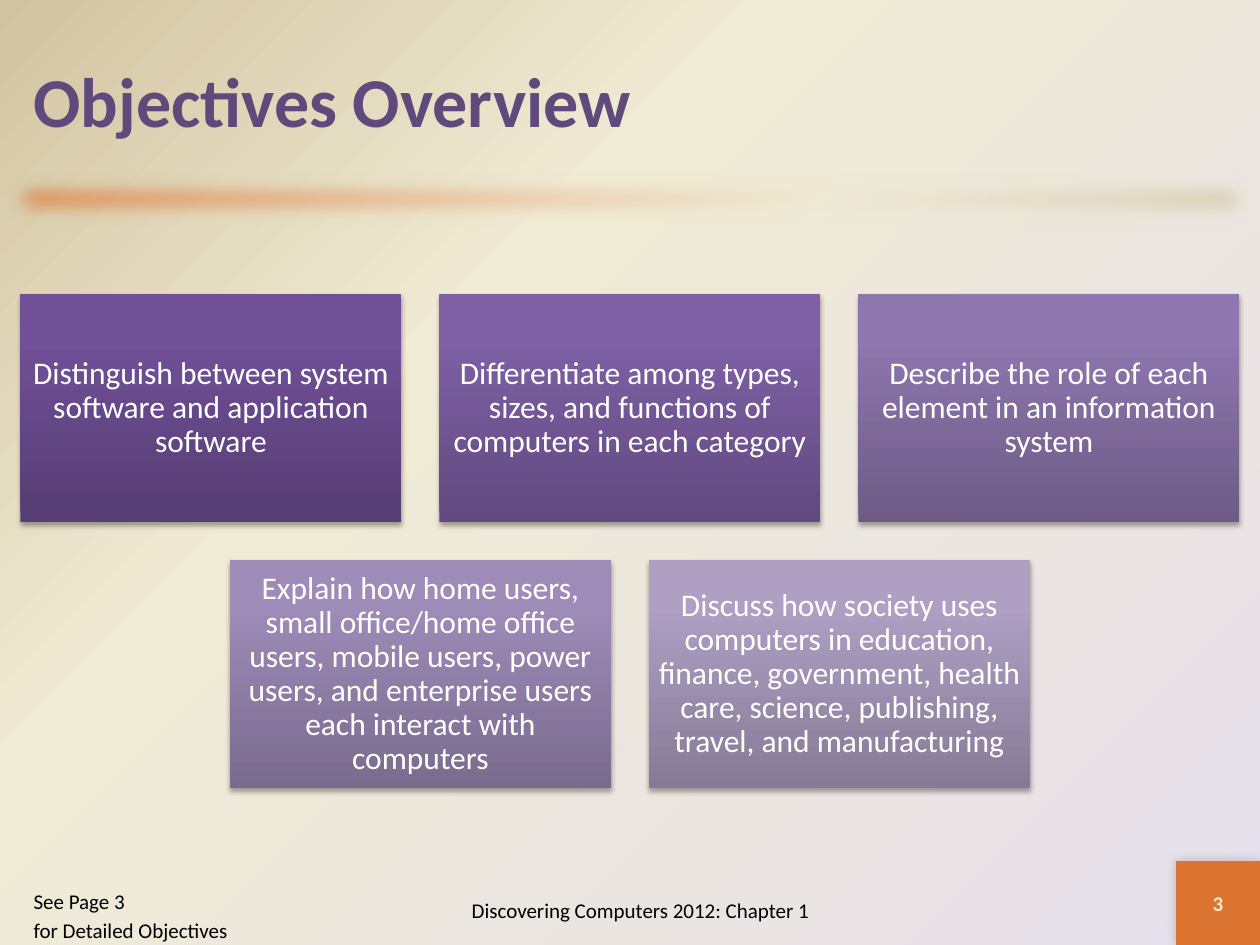
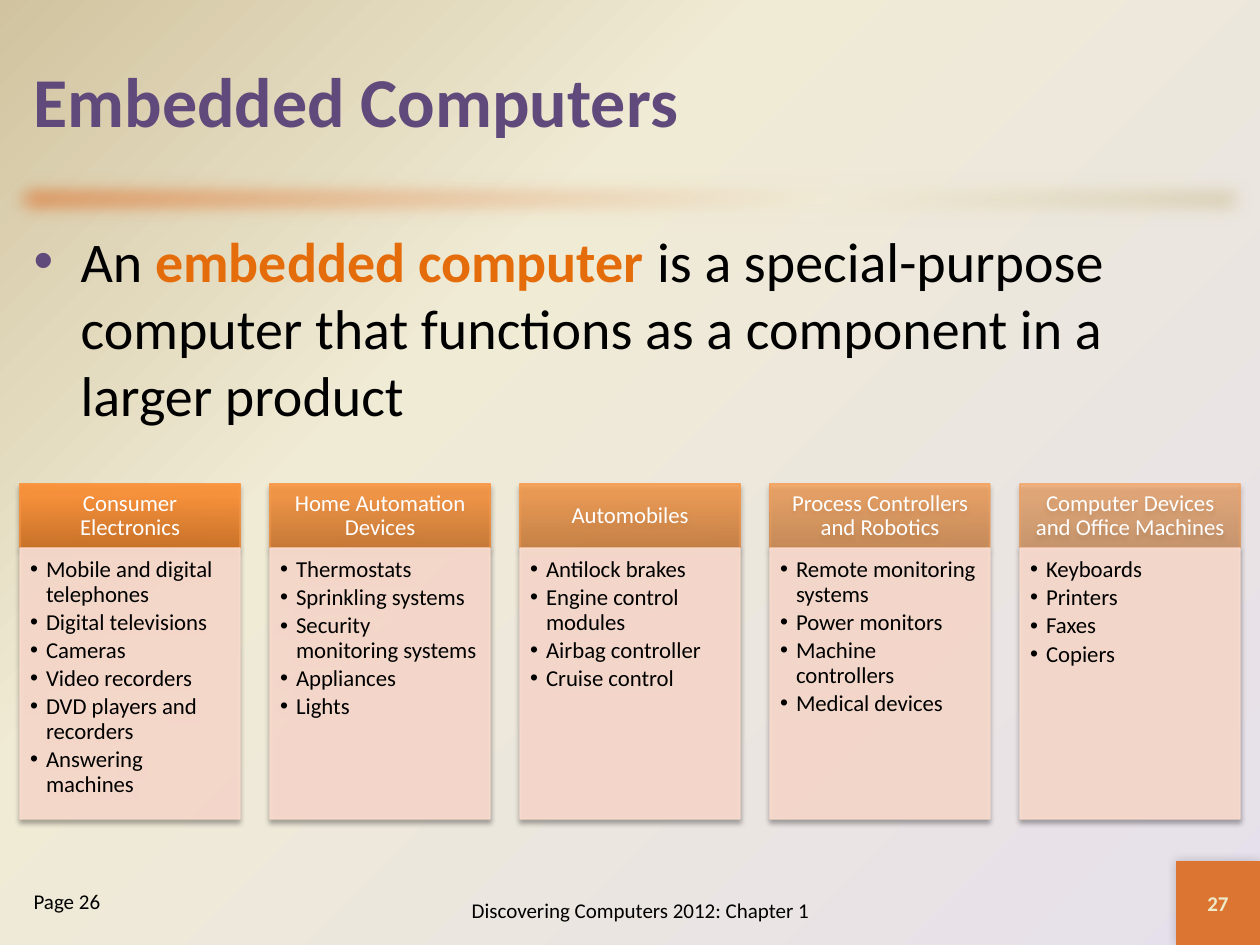
from dataclasses import dataclass

from lxml import etree
from pptx import Presentation
from pptx.dml.color import RGBColor
from pptx.enum.shapes import MSO_SHAPE
from pptx.enum.text import MSO_ANCHOR, MSO_AUTO_SIZE, PP_ALIGN
from pptx.oxml.ns import qn
from pptx.util import Pt

RECTANGLE = MSO_SHAPE.RECTANGLE
LEFT, CENTER = PP_ALIGN.LEFT, PP_ALIGN.CENTER
TOP, MIDDLE = MSO_ANCHOR.TOP, MSO_ANCHOR.MIDDLE
NO_AUTOFIT = MSO_AUTO_SIZE.NONE

FOOTER = "Discovering Computers 2012: Chapter 1"

OBJECTIVES = {
    "title": "Objectives Overview",
    "number": "3",
    "note": ["See Page 3", "for Detailed Objectives"],
    "rows": [
        [
            ("Distinguish between system software and application software",
             "563D74", "705097"),
            ("Differentiate among types, sizes, and functions of computers in each category",
             "614A7F", "7E60A5"),
            ("Describe the role of each element in an information system",
             "6D5B86", "8E76AE"),
        ],
        [
            ("Explain how home users, small office/home office users, mobile users, "
             "power users, and enterprise users each interact with computers",
             "796B8E", "9E8BB8"),
            ("Discuss how society uses computers in education, finance, government, "
             "health care, science, publishing, travel, and manufacturing",
             "867B96", "AE9FC3"),
        ],
    ],
}

EMBEDDED = {
    "title": "Embedded Computers",
    "number": "27",
    "note": ["Page 26"],
    "definition": ["An ", "embedded computer ",
                   "is a special-purpose computer that functions as a component "
                   "in a larger product"],
    "columns": [
        ("Consumer Electronics",
         ["Mobile and digital telephones", "Digital televisions", "Cameras",
          "Video recorders", "DVD players and recorders", "Answering machines"]),
        ("Home Automation Devices",
         ["Thermostats", "Sprinkling systems", "Security monitoring systems",
          "Appliances", "Lights"]),
        ("Automobiles",
         ["Antilock brakes", "Engine control modules", "Airbag controller",
          "Cruise control"]),
        ("Process Controllers and Robotics",
         ["Remote monitoring systems", "Power monitors", "Machine controllers",
          "Medical devices"]),
        ("Computer Devices and Office Machines",
         ["Keyboards", "Printers", "Faxes", "Copiers"]),
    ],
}


@dataclass(frozen=True)
class Theme:
    font: str = "Calibri"
    purple: str = "604A7B"
    orange: str = "DB7531"
    cream: str = "F0EBD5"
    sand: str = "D1C39F"
    lilac: str = "E6E0EC"
    accent: str = "E46C0A"
    number: str = "EEEBCA"
    black: str = "000000"
    white: str = "FFFFFF"
    head_dark: str = "CC6E20"
    head_light: str = "FF9034"
    head_line: str = "F79646"
    peach: str = "FCDDCF"
    title_size: int = 40
    definition_size: int = 32
    card_size: int = 18
    column_size: int = 13
    small_size: int = 12


THEME = Theme()
WIDTH, HEIGHT = 1260, 945
TITLE_BOX = (21, 21, 1218, 158)
DEFINITION_BOX = (21, 220, 1218, 640)
NOTE_BOX = (21, 882, 231, 63)
FOOTER_BOX = (378, 876, 525, 69)
NUMBER_BOX = (1176, 861, 84, 84)
BAND_BOX = (0, 168, 1260, 63)
CARD_WIDTH, CARD_HEIGHT, CARD_GAP, CARD_TOP = 381, 228, 38, 294
COLUMN_WIDTH, COLUMN_GAP = 220, 30
HEAD_TOP, HEAD_HEIGHT, LIST_HEIGHT = 484, 64, 271
HANGING, LIST_HANGING = 47, 16


def px(value):
    return round(value * 914400 / 126)


def place(shape, box):
    shape.left, shape.top, shape.width, shape.height = map(px, box)


def row_lefts(count, width, gap):
    """Left edges of a row of equal boxes centred on the slide."""
    start = (WIDTH - count * width - (count - 1) * gap) / 2
    return [start + index * (width + gap) for index in range(count)]


def add_node(parent, tag, **attributes):
    node = etree.SubElement(parent, qn(tag))
    for name, value in attributes.items():
        node.set(name, str(value))
    return node


def set_alpha(color_parent, percent):
    color = color_parent.find(".//" + qn("a:srgbClr"))
    add_node(color, "a:alpha", val=percent * 1000)


def set_gradient(owner, fill, stops, angle, alpha=100):
    fill.gradient()
    gradient = owner.find(".//" + qn("a:gradFill"))
    for child in list(gradient):
        gradient.remove(child)
    stop_list = add_node(gradient, "a:gsLst")
    for position, color in stops:
        stop = add_node(stop_list, "a:gs", pos=position * 1000)
        add_node(stop, "a:srgbClr", val=color)
        set_alpha(stop, alpha)
    add_node(gradient, "a:lin", ang=angle * 60000, scaled=0)


def set_shadow(shape, alpha=35, blur=3.1, distance=1.8, direction=90):
    effects = shape.element.spPr.find(qn("a:effectLst"))
    shadow = add_node(effects, "a:outerShdw", blurRad=Pt(blur), dist=Pt(distance),
                      dir=direction * 60000, rotWithShape=0)
    add_node(shadow, "a:srgbClr", val=THEME.black)
    set_alpha(shadow, alpha)


def add_panel(slide, box, fill=None, line=None, alpha=100):
    panel = slide.shapes.add_shape(RECTANGLE, *map(px, box))
    panel.shadow.inherit = False
    if fill:
        panel.fill.solid()
        panel.fill.fore_color.rgb = RGBColor.from_string(fill)
        set_alpha(panel.element.spPr, alpha)
    if line:
        panel.line.color.rgb = RGBColor.from_string(line)
        panel.line.width = Pt(0.75)
        set_alpha(panel.element.spPr.find(qn("a:ln")), alpha)
    else:
        panel.line.fill.background()
    return panel


def set_insets(frame, left, top, right, bottom):
    frame.margin_left, frame.margin_top = px(left), px(top)
    frame.margin_right, frame.margin_bottom = px(right), px(bottom)


def style_span(span, size, color, bold=False):
    span.font.name = THEME.font
    span.font.size = Pt(size)
    span.font.bold = bold
    span.font.color.rgb = RGBColor.from_string(color)


def write(shape, lines, size, color, bold=False, align=LEFT, anchor=MIDDLE):
    frame = shape.text_frame
    frame.text = "\n".join(lines)
    frame.word_wrap = True
    frame.auto_size = NO_AUTOFIT
    frame.vertical_anchor = anchor
    for para in frame.paragraphs:
        para.alignment = align
        para.space_before = Pt(0)
        for span in para.runs:
            style_span(span, size, color, bold)
    return frame


def set_bullet(para, hanging, color=None):
    """Give a hanging bullet, or none when hanging is 0."""
    properties = para._p.get_or_add_pPr()
    properties.set("marL", str(px(hanging)))
    properties.set("indent", str(-px(hanging)))
    if not hanging:
        add_node(properties, "a:buNone")
        return
    if color:
        add_node(add_node(properties, "a:buClr"), "a:srgbClr", val=color)
    add_node(properties, "a:buFont", typeface="Arial")
    add_node(properties, "a:buChar", char="•")


def decorate_master(master, slide):
    """Set the background and move the band and number square to the master."""
    set_gradient(master.element, master.background.fill,
                 [(0, THEME.sand), (35, THEME.cream), (100, THEME.lilac)], 45)
    band = add_panel(slide, BAND_BOX)
    set_gradient(band.element.spPr, band.fill,
                 [(0, THEME.orange), (65, THEME.cream), (100, THEME.sand)], 45)
    add_node(band.element.spPr.find(qn("a:effectLst")), "a:softEdge", rad=Pt(12.5))
    square = add_panel(slide, NUMBER_BOX, THEME.orange)
    set_shadow(square, alpha=20, blur=6, distance=0, direction=225)
    for shape_id, shape in enumerate((band, square), start=20):
        shape.element.nvSpPr.cNvPr.set("id", str(shape_id))
        master.shapes.element.append(shape.element)


def add_frame(slide, content, note):
    """Fill the title, page note, footer and slide number."""
    place(slide.shapes.title, TITLE_BOX)
    write(slide.shapes.title, [content["title"]], THEME.title_size, THEME.purple, True)
    place(note, NOTE_BOX)
    frame = write(note, content["note"], THEME.small_size, THEME.black, anchor=TOP)
    for index, para in enumerate(frame.paragraphs):
        set_bullet(para, 0)
        para.space_before = Pt(2.4 if index else 0)
    for box, text, color, bold in (
        (FOOTER_BOX, FOOTER, THEME.black, False),
        (NUMBER_BOX, content["number"], THEME.number, True),
    ):
        label = slide.shapes.add_textbox(*map(px, box))
        write(label, [text], THEME.small_size, color, bold, CENTER)


def add_cards(slide, rows):
    for row_index, row in enumerate(rows):
        top = CARD_TOP + row_index * (CARD_HEIGHT + CARD_GAP)
        lefts = row_lefts(len(row), CARD_WIDTH, CARD_GAP)
        for left, (text, dark, light) in zip(lefts, row):
            card = add_panel(slide, (left, top, CARD_WIDTH, CARD_HEIGHT))
            set_gradient(card.element.spPr, card.fill,
                         [(0, dark), (80, light), (100, light)], 270)
            set_shadow(card)
            frame = write(card, [text], THEME.card_size, THEME.white, align=CENTER)
            set_insets(frame, 9, 9, 9, 9)
            frame.paragraphs[0].line_spacing = 0.9


def add_definition(body, parts):
    place(body, DEFINITION_BOX)
    frame = write(body, [""], THEME.definition_size, THEME.black, anchor=TOP)
    para = frame.paragraphs[0]
    set_bullet(para, HANGING, THEME.purple)
    for index, part in enumerate(parts):
        span = para.add_run()
        span.text = part
        is_term = index == 1
        style_span(span, THEME.definition_size,
                   THEME.accent if is_term else THEME.black, is_term)


def add_columns(slide, columns):
    lefts = row_lefts(len(columns), COLUMN_WIDTH, COLUMN_GAP)
    for index, (left, (heading, items)) in enumerate(zip(lefts, columns)):
        alpha = 90 - 10 * index
        head = add_panel(slide, (left, HEAD_TOP, COLUMN_WIDTH, HEAD_HEIGHT),
                         line=THEME.head_line, alpha=alpha)
        set_gradient(head.element.spPr, head.fill,
                     [(0, THEME.head_dark), (80, THEME.head_light),
                      (100, THEME.head_light)], 270, alpha)
        set_shadow(head)
        frame = write(head, [heading], THEME.column_size, THEME.white, align=CENTER)
        set_insets(frame, 13, 8, 13, 8)
        frame.paragraphs[0].line_spacing = 0.9

        panel = add_panel(slide, (left, HEAD_TOP + HEAD_HEIGHT, COLUMN_WIDTH, LIST_HEIGHT),
                          THEME.peach, THEME.peach, 90)
        set_shadow(panel)
        frame = write(panel, items, THEME.column_size, THEME.black, anchor=TOP)
        set_insets(frame, 10, 10, 13, 14)
        for para in frame.paragraphs:
            set_bullet(para, LIST_HANGING)
            para.line_spacing = 0.9
            para.space_after = Pt(2)


def main():
    deck = Presentation()
    deck.slide_width, deck.slide_height = px(WIDTH), px(HEIGHT)
    one_body, two_bodies = deck.slide_layouts[1], deck.slide_layouts[3]

    objectives = deck.slides.add_slide(one_body)
    decorate_master(deck.slide_master, objectives)
    add_frame(objectives, OBJECTIVES, objectives.placeholders[1])
    add_cards(objectives, OBJECTIVES["rows"])

    embedded = deck.slides.add_slide(two_bodies)
    add_frame(embedded, EMBEDDED, embedded.placeholders[2])
    add_definition(embedded.placeholders[1], EMBEDDED["definition"])
    add_columns(embedded, EMBEDDED["columns"])

    deck.save("out.pptx")


if __name__ == "__main__":
    main()
